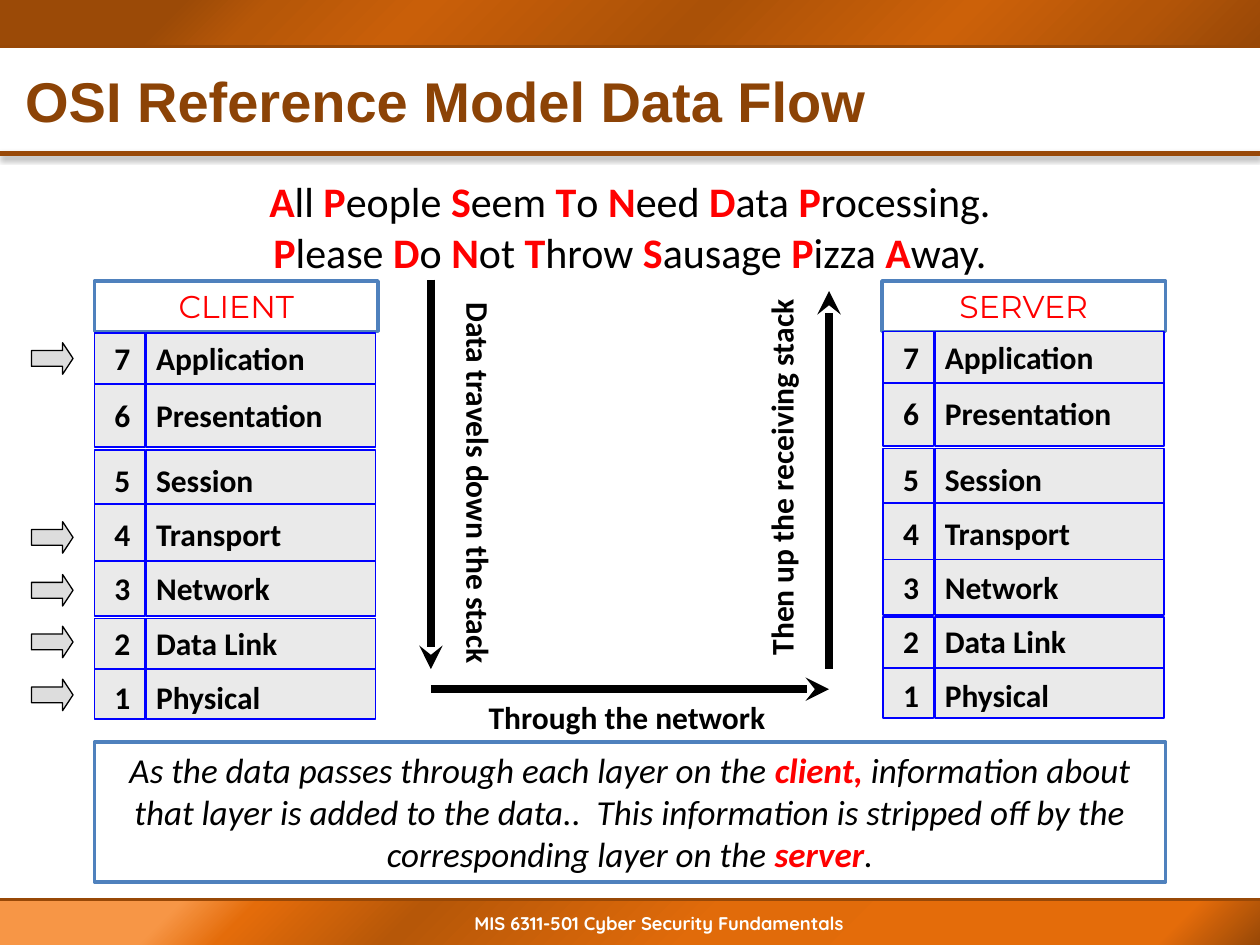
from dataclasses import dataclass

from pptx import Presentation
from pptx.dml.color import RGBColor
from pptx.enum.shapes import MSO_CONNECTOR, MSO_SHAPE
from pptx.enum.text import MSO_ANCHOR, MSO_AUTO_SIZE, PP_ALIGN
from pptx.oxml import parse_xml
from pptx.oxml.ns import nsdecls, qn
from pptx.util import Inches, Pt

RECTANGLE = MSO_SHAPE.RECTANGLE
RIGHT_ARROW = MSO_SHAPE.RIGHT_ARROW
STRAIGHT = MSO_CONNECTOR.STRAIGHT
LEFT, CENTER = PP_ALIGN.LEFT, PP_ALIGN.CENTER
TOP, MIDDLE = MSO_ANCHOR.TOP, MSO_ANCHOR.MIDDLE
GROW, FIXED = MSO_AUTO_SIZE.SHAPE_TO_FIT_TEXT, MSO_AUTO_SIZE.NONE


@dataclass(frozen=True)
class Theme:
    black: str = "000000"
    white: str = "FFFFFF"
    red: str = "FF0000"
    brown: str = "984807"
    title_brown: str = "8C4306"
    frame_blue: str = "4F81BD"
    cell_blue: str = "0000FF"
    cell_gray: str = "EAEAEA"
    marker_gray: str = "DDDDDD"
    header_stops: tuple = ((14, "9B4A07"), (21, "B65708"), (33, "C95F09"), (55, "AA5107"),
                           (75, "CC6109"), (89, "B35508"), (100, "984807"))
    footer_stops: tuple = ((14, "F79646"), (20, "E46C0A"), (33, "B65708"), (56, "E16B0A"),
                           (78, "E46C0A"), (92, "E46C0A"), (100, "984807"))
    title_size: float = 32
    mnemonic_size: float = 24
    note_size: float = 20
    label_size: float = 18
    footer_size: float = 10.5


class SlideBuilder:
    def __init__(self, slide, theme):
        self.slide = slide
        self.theme = theme

    def set_text(self, shape, lines, size, font="Calibri", color=None, bold=False,
                 italic=False, align=LEFT, anchor=TOP, auto_size=GROW, margin_left=0.1):
        """Set lines of text; parts between asterisks are red and bold."""
        frame = shape.text_frame
        frame_format = {
            "word_wrap": True, "auto_size": auto_size, "vertical_anchor": anchor,
            "margin_left": Inches(margin_left), "margin_right": Inches(0.1),
            "margin_top": Inches(0.05), "margin_bottom": Inches(0.05),
        }
        for name, value in frame_format.items():
            setattr(frame, name, value)
        for number, line in enumerate(lines):
            paragraph = frame.add_paragraph() if number else frame.paragraphs[0]
            paragraph.alignment = align
            for index, part in enumerate(line.split("*")):
                if not part:
                    continue
                accent = index % 2 == 1
                run = paragraph.add_run()
                run.text = part
                run_format = {"name": font, "size": Pt(size),
                              "bold": bold or accent, "italic": italic}
                for name, value in run_format.items():
                    setattr(run.font, name, value)
                run_color = self.theme.red if accent else color or self.theme.black
                run.font.color.rgb = RGBColor.from_string(run_color)

    def text(self, place, lines, size, rotation=0, **text_format):
        shape = self.slide.shapes.add_textbox(*map(Inches, place))
        shape.rotation = rotation
        self.set_text(shape, lines, size, **text_format)

    def box(self, place, fill, line, width, kind=RECTANGLE):
        shape = self.slide.shapes.add_shape(kind, *map(Inches, place))
        shape.shadow.inherit = False
        shape.fill.solid()
        shape.fill.fore_color.rgb = RGBColor.from_string(fill)
        shape.line.color.rgb = RGBColor.from_string(line)
        shape.line.width = Pt(width)
        return shape

    def band(self, place, stops):
        shape = self.slide.shapes.add_shape(RECTANGLE, *map(Inches, place))
        shape.shadow.inherit = False
        shape.line.fill.background()
        shape.fill.gradient()
        properties = shape._element.spPr
        stop_xml = "".join(f'<a:gs pos="{position * 1000}"><a:srgbClr val="{color}"/></a:gs>'
                           for position, color in stops)
        properties.replace(properties.find(qn("a:gradFill")), parse_xml(
            f'<a:gradFill {nsdecls("a")} rotWithShape="1"><a:gsLst>{stop_xml}</a:gsLst>'
            '<a:lin ang="2700000" scaled="0"/></a:gradFill>'))

    def line(self, start, end, color, width, arrow=None, shadow=False):
        connector = self.slide.shapes.add_connector(STRAIGHT, *map(Inches, start + end))
        connector.line.color.rgb = RGBColor.from_string(color)
        connector.line.width = Pt(width)
        properties = connector._element.spPr
        if arrow:
            properties.find(qn("a:ln")).append(
                parse_xml(f'<a:{arrow} {nsdecls("a")} type="stealth"/>'))
        effect = ('<a:outerShdw blurRad="40000" dist="20000" dir="5400000" rotWithShape="0">'
                  f'<a:srgbClr val="{self.theme.black}"><a:alpha val="38000"/></a:srgbClr>'
                  '</a:outerShdw>') if shadow else ""
        properties.append(parse_xml(f'<a:effectLst {nsdecls("a")}>{effect}</a:effectLst>'))

    def stack(self, heading, heading_left, left, shift, layers):
        theme = self.theme
        shape = self.box((heading_left, 2.23, 2.25, 0.4), theme.white, theme.frame_blue, 2)
        self.set_text(shape, [heading], theme.label_size, "Montserrat", theme.red, align=CENTER)
        # The top layer is painted last so that its lower edge stays visible
        for _, _, top, height, _, _ in layers[1:] + layers[:1]:
            for offset, width in ((0, 0.4), (0.41, 1.82)):
                self.box((left + offset, top + shift, width, height),
                         theme.cell_gray, theme.cell_blue, 1)
        for number, name, _, _, text_top, name_width in layers:
            for offset, width, label in ((0.06, 0.34, str(number)), (0.39, name_width, name)):
                self.text((left + offset, text_top + shift, width, 0.4), [label],
                          theme.label_size, bold=True)


# Layer number, name, cell top, cell height, text top, name width
LAYERS = [
    (7, "Application", 2.63, 0.41, 2.63, 1.56),
    (6, "Presentation", 3.03, 0.51, 3.08, 1.72),
    (5, "Session", 3.56, 0.49, 3.6, 1.16),
    (4, "Transport", 3.99, 0.56, 4.03, 1.37),
    (3, "Network", 4.44, 0.44, 4.46, 1.19),
    (2, "Data Link", 4.9, 0.4, 4.89, 1.33),
    (1, "Physical", 5.3, 0.4, 5.32, 1.22),
]
MNEMONICS = ["All People Seem To Need Data Processing.",
             "Please Do Not Throw Sausage Pizza Away."]
NOTE = ("As the data passes through each layer on the *client,* information about that layer "
        "is added to the data..  This information is stripped off by the corresponding layer "
        "on the *server*.")


def main():
    presentation = Presentation()
    presentation.slide_width, presentation.slide_height = Inches(10), Inches(7.5)
    theme = Theme()
    builder = SlideBuilder(presentation.slides.add_slide(presentation.slide_layouts[6]), theme)

    # Header and footer
    builder.band((0, 7.14, 10, 0.36), theme.footer_stops)
    builder.line((0, 1.22), (10, 1.22), theme.brown, 3, shadow=True)
    builder.text((1.42, 7.19, 7.42, 0.29), ["MIS 6311-501 Cyber Security Fundamentals"],
                 theme.footer_size, font="Quicksand", color=theme.white, bold=True,
                 align=CENTER, margin_left=0.3)
    builder.band((0, 0, 10, 0.36), theme.header_stops)
    for top in (7.14, 0.37):
        builder.line((0, top), (10, top), theme.brown, 1.5)

    # Title and mnemonics
    builder.text((0, 0.42, 10, 0.75), ["OSI Reference Model Data Flow"], theme.title_size,
                 font="Arial", color=theme.title_brown, bold=True, anchor=MIDDLE,
                 auto_size=FIXED, margin_left=0.2)
    marked = [" ".join(f"*{word[0]}*{word[1:]}" for word in line.split()) for line in MNEMONICS]
    builder.text((0.75, 1.34, 8.5, 0.91), marked, theme.mnemonic_size,
                 align=CENTER, anchor=MIDDLE)

    # Data flow arrows and their labels
    for start, end, arrow in (((3.42, 2.22), (3.42, 5.31), "tailEnd"),
                              ((6.58, 2.31), (6.58, 5.31), "headEnd"),
                              ((3.42, 5.47), (6.58, 5.47), "tailEnd")):
        builder.line(start, end, theme.black, 4.5, arrow)
    for place, label, rotation in (((2.26, 3.64, 3.08, 0.4), "Data travels down the stack", 90),
                                   ((3.78, 5.49, 2.47, 0.4), "Through the network", 0),
                                   ((4.66, 3.56, 3.08, 0.4), "Then up the receiving stack", 270)):
        builder.text(place, [label], theme.label_size, rotation, bold=True)

    # Layer stacks
    builder.stack("SERVER", 7, 7.01, 0, LAYERS)
    builder.stack("CLIENT", 0.75, 0.75, 0.01, LAYERS)

    # Explanation
    note = builder.box((0.75, 5.89, 8.5, 1.11), theme.white, theme.frame_blue, 2)
    builder.set_text(note, [NOTE], theme.note_size, italic=True, align=CENTER)

    # Layer markers
    for top in (2.72, 4.14, 4.56, 4.97, 5.39):
        marker = builder.box((0.25, top, 0.33, 0.25), theme.marker_gray, theme.black, 0.75,
                             RIGHT_ARROW)
        marker.adjustments[1] = 0.33

    presentation.save("out.pptx")


if __name__ == "__main__":
    main()
